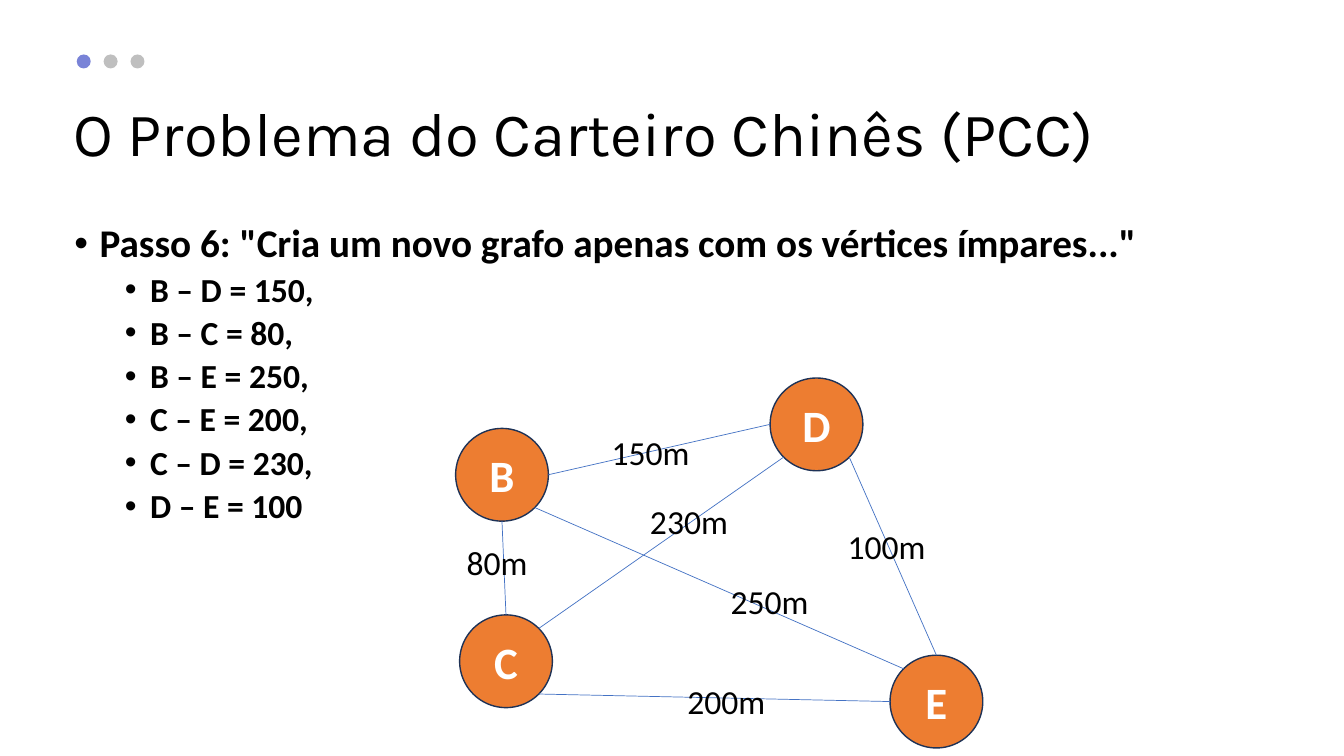
"""Build the slide on step 6 of the Chinese postman problem."""
from dataclasses import dataclass
from math import cos, radians, sin

from lxml.etree import SubElement
from pptx import Presentation
from pptx.dml.color import RGBColor
from pptx.enum.shapes import MSO_CONNECTOR as Link, MSO_SHAPE as Preset
from pptx.enum.text import MSO_ANCHOR as Anchor, MSO_AUTO_SIZE as Fit, PP_ALIGN as Align
from pptx.oxml.ns import qn
from pptx.util import Pt

DOT_SIZE, DOT_PITCH = 10, 19.2
NODE_SIZE = 66.24
LABEL_HEIGHT = 36.36


@dataclass(frozen=True)
class Node:
    name: str
    left: float
    top: float

    def rim(self, angle: float) -> tuple[float, float]:
        radius, turn = NODE_SIZE / 2, radians(angle)
        return (self.left + radius * (1 + cos(turn)),
                self.top + radius * (1 + sin(turn)))


@dataclass(frozen=True)
class Edge:
    start: str
    start_angle: float
    end: str
    end_angle: float
    distance: str
    label_left: float
    label_top: float
    label_width: float = 70.5


NODES = {node.name: node for node in (
    Node("B", 325.44, 306),
    Node("C", 328.32, 439.2),
    Node("D", 550.08, 270),
    Node("E", 635.76, 468),
)}
EDGES = (
    Edge("B", 45, "E", 225, "250m", 514.8, 411.12),
    Edge("C", 270, "B", 90, "80m", 326.16, 383.4, 58.3),
    Edge("D", 180, "B", 0, "150m", 429.84, 305.28),
    Edge("C", 45, "E", 180, "200m", 483.84, 483.12),
    Edge("E", 270, "D", 45, "100m", 598.32, 372.24),
    Edge("C", 315, "D", 135, "230m", 457.2, 354.24),
)
STEP = 'Passo 6: "Cria um novo grafo apenas com os vértices ímpares..."'
PATHS = ("B – D = 150,", "B – C = 80,", "B – E = 250,",
         "C – E = 200,", "C – D = 230,", "D – E = 100")


def rgb(code: str) -> RGBColor:
    return RGBColor.from_string(code)


def style(paragraph, size: float, color: str = "000000",
          face: str = "Calibri", bold: bool = False) -> None:
    font = paragraph.font
    font.name, font.size, font.bold = face, Pt(size), bold
    font.color.rgb = rgb(color)


def add_circle(slide, left: float, top: float, size: float, fill: str):
    circle = slide.shapes.add_shape(Preset.OVAL, Pt(left), Pt(top), Pt(size), Pt(size))
    circle.shadow.inherit = False
    circle.fill.solid()
    circle.fill.fore_color.rgb = rgb(fill)
    circle.line.fill.background()
    return circle


def add_node(slide, node: Node) -> None:
    circle = add_circle(slide, node.left, node.top, NODE_SIZE, "ED7D31")
    circle.line.color.rgb = rgb("1E3256")
    circle.line.width = Pt(1)
    circle.text_frame.vertical_anchor = Anchor.MIDDLE
    name = circle.text_frame.paragraphs[0]
    name.text, name.alignment = node.name, Align.CENTER
    style(name, 32, "FFFFFF", bold=True)


def add_edge(slide, edge: Edge) -> None:
    ends = (*NODES[edge.start].rim(edge.start_angle), *NODES[edge.end].rim(edge.end_angle))
    line = slide.shapes.add_connector(Link.STRAIGHT, *map(Pt, ends))
    line.line.color.rgb = rgb("4472C4")
    line.line.width = Pt(0.5)
    SubElement(line._element.spPr, qn("a:effectLst"))


def add_distance(slide, edge: Edge) -> None:
    label = slide.shapes.add_textbox(Pt(edge.label_left), Pt(edge.label_top),
                                     Pt(edge.label_width), Pt(LABEL_HEIGHT))
    frame = label.text_frame
    frame.word_wrap, frame.auto_size = False, Fit.SHAPE_TO_FIT_TEXT
    frame.paragraphs[0].text = edge.distance
    style(frame.paragraphs[0], 24)


def add_bullet(paragraph, text: str, level: int, size: float) -> None:
    paragraph.text, paragraph.level = text, level
    paragraph.line_spacing = 0.9
    properties = paragraph._p.get_or_add_pPr()
    properties.set("marL", str(Pt(18 + 36 * level)))
    properties.set("indent", str(Pt(-18)))
    SubElement(properties, qn("a:buFont"), typeface="Arial")
    SubElement(properties, qn("a:buChar"), char="•")
    style(paragraph, size, bold=True)


def add_title(slide) -> None:
    title = slide.shapes.title
    title.left, title.top, title.width, title.height = map(Pt, (45.36, 45.36, 828, 104.4))
    frame = title.text_frame
    frame.auto_size, frame.vertical_anchor = Fit.NONE, Anchor.MIDDLE
    heading = frame.paragraphs[0]
    heading.text = "O Problema do Carteiro Chinês (PCC)"
    heading.alignment, heading.line_spacing = Align.LEFT, 0.9
    style(heading, 44, face="Karla")


def add_steps(slide) -> None:
    steps = slide.shapes.add_textbox(Pt(46.08), Pt(156.24), Pt(828), Pt(329.76))
    frame = steps.text_frame
    frame.word_wrap = True
    add_bullet(frame.paragraphs[0], STEP, 0, 28)
    for path in PATHS:
        paragraph = frame.add_paragraph()
        paragraph.space_before = Pt(5)
        add_bullet(paragraph, path, 1, 24)


def main() -> None:
    deck = Presentation()
    deck.slide_width, deck.slide_height = Pt(960), Pt(540)
    slide = deck.slides.add_slide(deck.slide_layouts[5])
    add_title(slide)
    for index, color in enumerate(("7983D7", "BFBFBF", "BFBFBF")):
        add_circle(slide, 54.8 + index * DOT_PITCH, 38.9, DOT_SIZE, color)
    add_steps(slide)
    for node in NODES.values():
        add_node(slide, node)
    for edge in EDGES:
        add_edge(slide, edge)
    for edge in EDGES:
        add_distance(slide, edge)
    deck.save("out.pptx")


if __name__ == "__main__":
    main()
